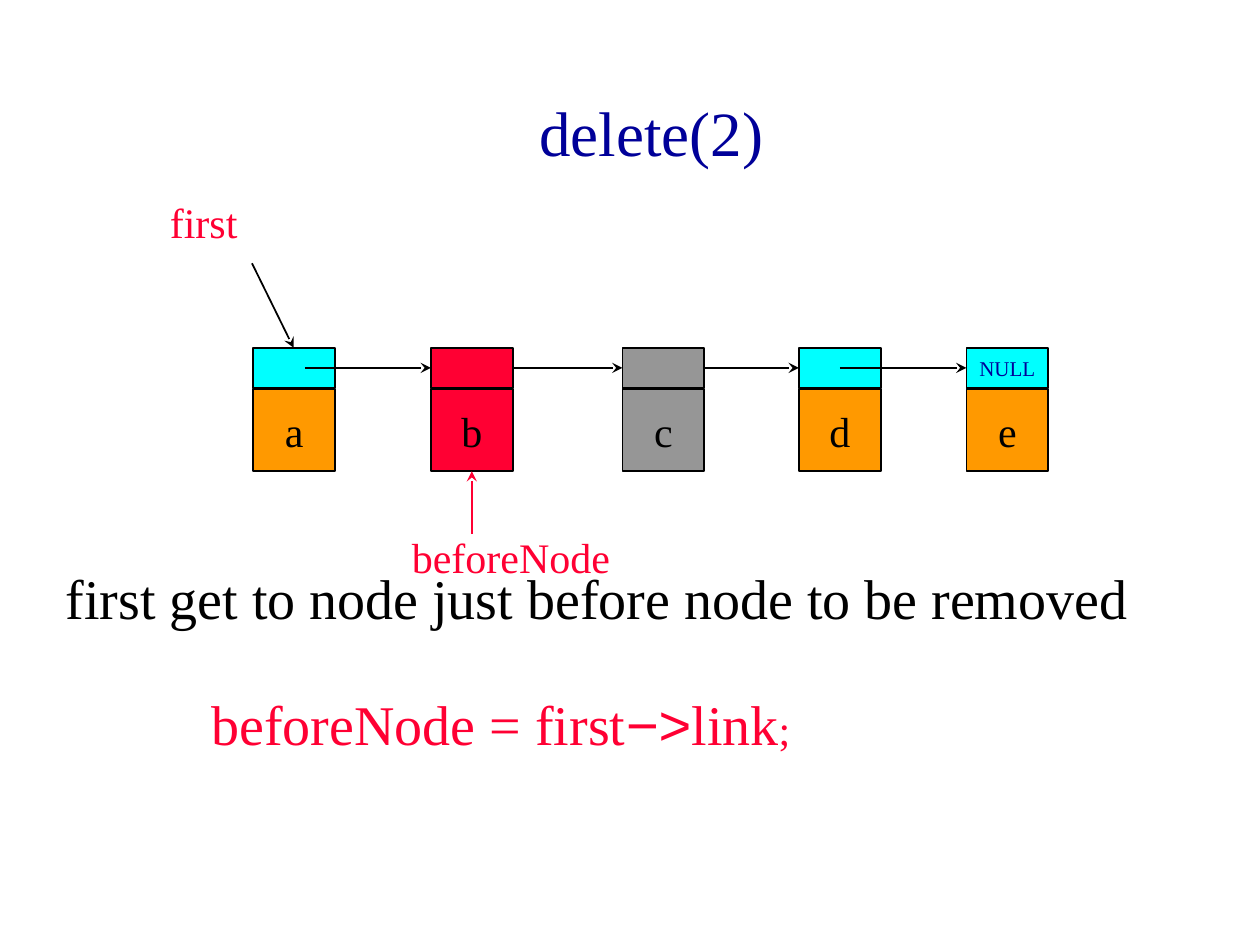
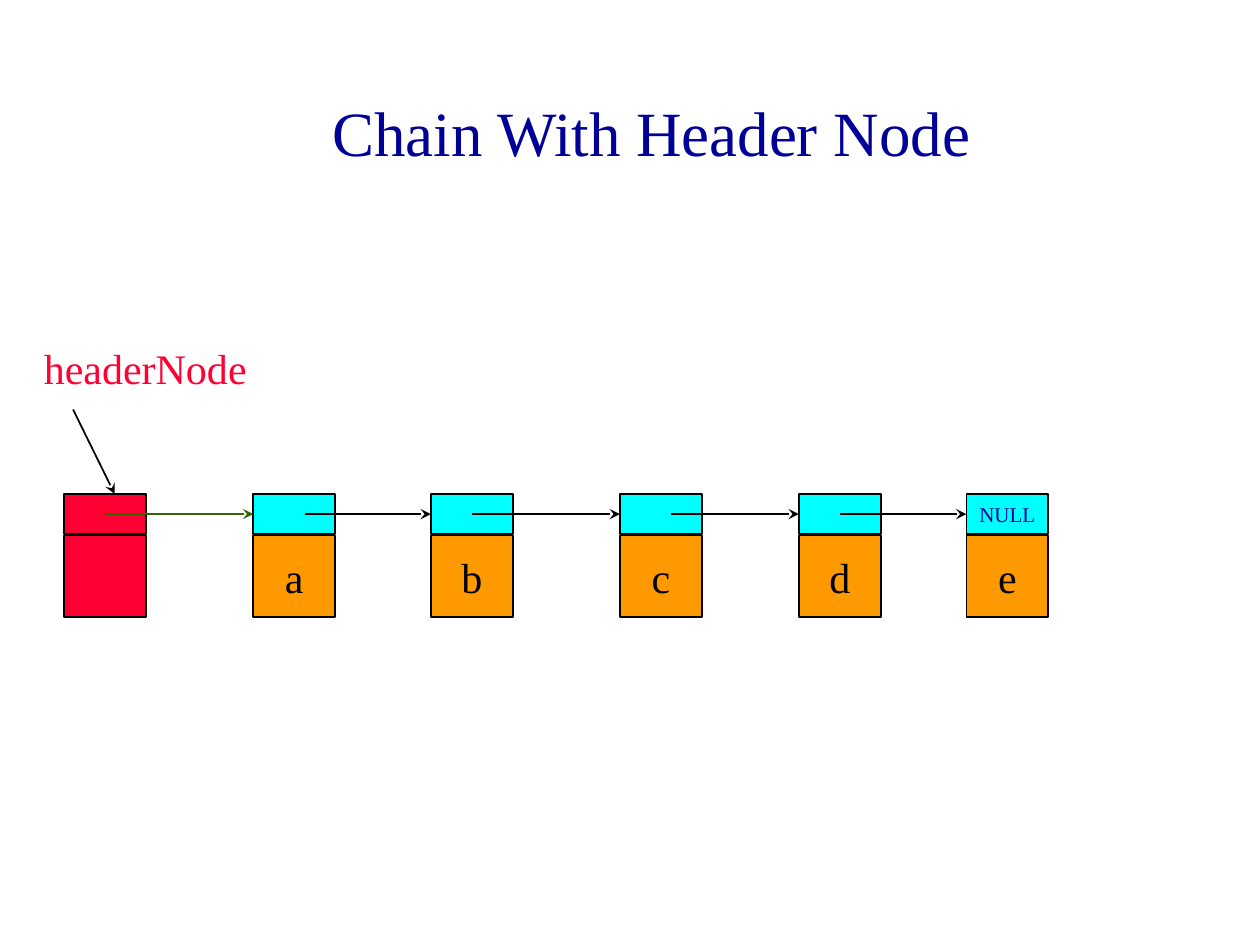
from pptx import Presentation
from pptx.dml.color import RGBColor
from pptx.enum.shapes import MSO_CONNECTOR, MSO_SHAPE
from pptx.enum.text import MSO_ANCHOR, MSO_AUTO_SIZE, PP_ALIGN
from pptx.oxml.ns import qn
from pptx.util import Inches, Pt
from lxml import etree

RECT, STRAIGHT = MSO_SHAPE.RECTANGLE, MSO_CONNECTOR.STRAIGHT
LEFT, CENTER = PP_ALIGN.LEFT, PP_ALIGN.CENTER
TOP, MIDDLE = MSO_ANCHOR.TOP, MSO_ANCHOR.MIDDLE

BLACK = RGBColor(0x00, 0x00, 0x00)
NAVY = RGBColor(0x00, 0x00, 0x99)
RED = RGBColor(0xFF, 0x00, 0x33)
ORANGE = RGBColor(0xFF, 0x99, 0x00)
CYAN = RGBColor(0x00, 0xFF, 0xFF)
GRAY = RGBColor(0x96, 0x96, 0x96)
GREEN = RGBColor(0x33, 0x66, 0x00)
SERIF, SANS = "Times New Roman", "Arial"

# Node size and the places of its parts, in inches
NODE_W, LINK_H, DATA_H, DATA_DROP = 0.65, 0.32, 0.65, 0.33
POINTER_RISE, POINTER_RUN, LABEL_RISE = 0.67, 0.33, 1.25
TITLE_BOX = (0.92, 0.42, 8.5, 1.25)

# Content. Node: text, left, data colour, link colour, link text,
# where the link starts (share of node width), link line colour
NODE_A = ("a", 2.01, ORANGE, CYAN, "", 0.63, BLACK)
NODE_B = ("b", 3.42, ORANGE, CYAN, "", 0.5, BLACK)
NODE_C = ("c", 4.92, ORANGE, CYAN, "", 0.63, BLACK)
NODE_D = ("d", 6.34, ORANGE, CYAN, "", 0.5, BLACK)
NODE_E = ("e", 7.67, ORANGE, CYAN, "NULL", None, None)
HEADER = ("", 0.51, RED, RED, "", 0.5, GREEN)
BEFORE_NODE = ("b", 3.42, RED, RED, "", 1, BLACK)
REMOVED = ("c", 4.94, GRAY, GRAY, "", 1, BLACK)

SLIDES = [
    {
        "title": "delete(2)", "layout": 1, "top": 2.76,
        "nodes": [NODE_A, BEFORE_NODE, REMOVED, NODE_D, NODE_E],
        "pointer": ("first", 1.25, 2.0),  # label, its left, arrow start
        "body": "first get to node just before node to be removed",
        "marker": "beforeNode",
        "code": [("beforeNode = first", 32, SERIF), ("−>", 32, SANS),
                 ("link", 32, SERIF), (";", 24, SERIF)],
    },
    {
        "title": "Chain With Header Node", "layout": 5, "top": 3.92,
        "nodes": [HEADER, NODE_A, NODE_B, NODE_C, NODE_D, NODE_E],
        "pointer": ("headerNode", 0.25, 0.58),
    },
]


def write(shape, runs, color, align=LEFT, anchor=TOP, margins=(0.1, 0.05)):
    """Fill a shape with one paragraph of (text, size, font) runs."""
    tf = shape.text_frame
    side, end = (Inches(m) for m in margins)
    frame = {"word_wrap": True, "auto_size": MSO_AUTO_SIZE.NONE,
             "vertical_anchor": anchor, "margin_left": side,
             "margin_right": side, "margin_top": end, "margin_bottom": end}
    for name, value in frame.items():
        setattr(tf, name, value)
    p = tf.paragraphs[0]
    p.alignment = align
    for text, size, font in runs:
        r = p.add_run()
        r.text = text
        for name, value in {"size": Pt(size), "name": font}.items():
            setattr(r.font, name, value)
        r.font.color.rgb = color


def place(shape, box):
    for name, value in zip(("left", "top", "width", "height"), box):
        setattr(shape, name, Inches(value))


def add_text(s, box, runs, color):
    write(s.shapes.add_textbox(*map(Inches, box)), runs, color)


def add_cell(s, box, fill, text, size, color):
    sp = s.shapes.add_shape(RECT, *map(Inches, box))
    sp.shadow.inherit = False
    sp.fill.solid()
    sp.fill.fore_color.rgb = fill
    sp.line.color.rgb = BLACK
    sp.line.width = Pt(1)
    if text:
        write(sp, [(text, size, SERIF)], color, CENTER, MIDDLE, (0, 0))


def add_arrow(s, start, end, color=BLACK):
    line = s.shapes.add_connector(STRAIGHT, *map(Inches, start + end))
    line.line.color.rgb = color
    line.line.width = Pt(1)
    etree.SubElement(line.line._get_or_add_ln(), qn("a:tailEnd"), type="stealth")
    etree.SubElement(line._element.spPr, qn("a:effectLst"))


def add_chain(s, nodes, top):
    for text, left, data_fill, link_fill, link_text, _, _ in nodes:
        add_cell(s, (left, top + DATA_DROP, NODE_W, DATA_H), data_fill, text, 24, BLACK)
        add_cell(s, (left, top, NODE_W, LINK_H), link_fill, link_text, 12, NAVY)
    y = top + LINK_H / 2
    for node, following in zip(nodes, nodes[1:]):
        add_arrow(s, (node[1] + node[5] * NODE_W, y), (following[1], y), node[6])


def add_pointer(s, label, label_left, arrow_left, top):
    add_text(s, (label_left, top - LABEL_RISE, 1.83, 0.5), [(label, 24, SERIF)], RED)
    add_arrow(s, (arrow_left, top - POINTER_RISE), (arrow_left + POINTER_RUN, top))


def add_body(s, text):
    body = s.placeholders[1]
    place(body, (0.42, 4.42, 9.25, 0.67))
    write(body, [(text, 32, SERIF)], BLACK)
    pPr = body.text_frame.paragraphs[0]._p.get_or_add_pPr()
    pPr.set("marL", "0")
    pPr.set("indent", "0")
    etree.SubElement(pPr, qn("a:buNone"))


def add_marker(s, label, node, top):
    x = node[1] + NODE_W / 2
    bottom = top + DATA_DROP + DATA_H
    add_text(s, (3.17, bottom + 0.43, 2, 0.5), [(label, 24, SERIF)], RED)
    add_arrow(s, (x, bottom + 0.5), (x, bottom), RED)


def main():
    prs = Presentation()
    prs.slide_width, prs.slide_height = Inches(10), Inches(7.5)
    for content in SLIDES:
        s = prs.slides.add_slide(prs.slide_layouts[content["layout"]])
        top = content["top"]
        # Title, chain and the pointer to its start
        place(s.shapes.title, TITLE_BOX)
        write(s.shapes.title, [(content["title"], 36, SERIF)], NAVY, CENTER, MIDDLE)
        add_chain(s, content["nodes"], top)
        add_pointer(s, *content["pointer"], top)
        # Deletion step
        if "body" in content:
            add_body(s, content["body"])
            add_marker(s, content["marker"], BEFORE_NODE, top)
            add_text(s, (1.58, 5.42, 7, 0.75), content["code"], RED)
    prs.save("out.pptx")


if __name__ == "__main__":
    main()
